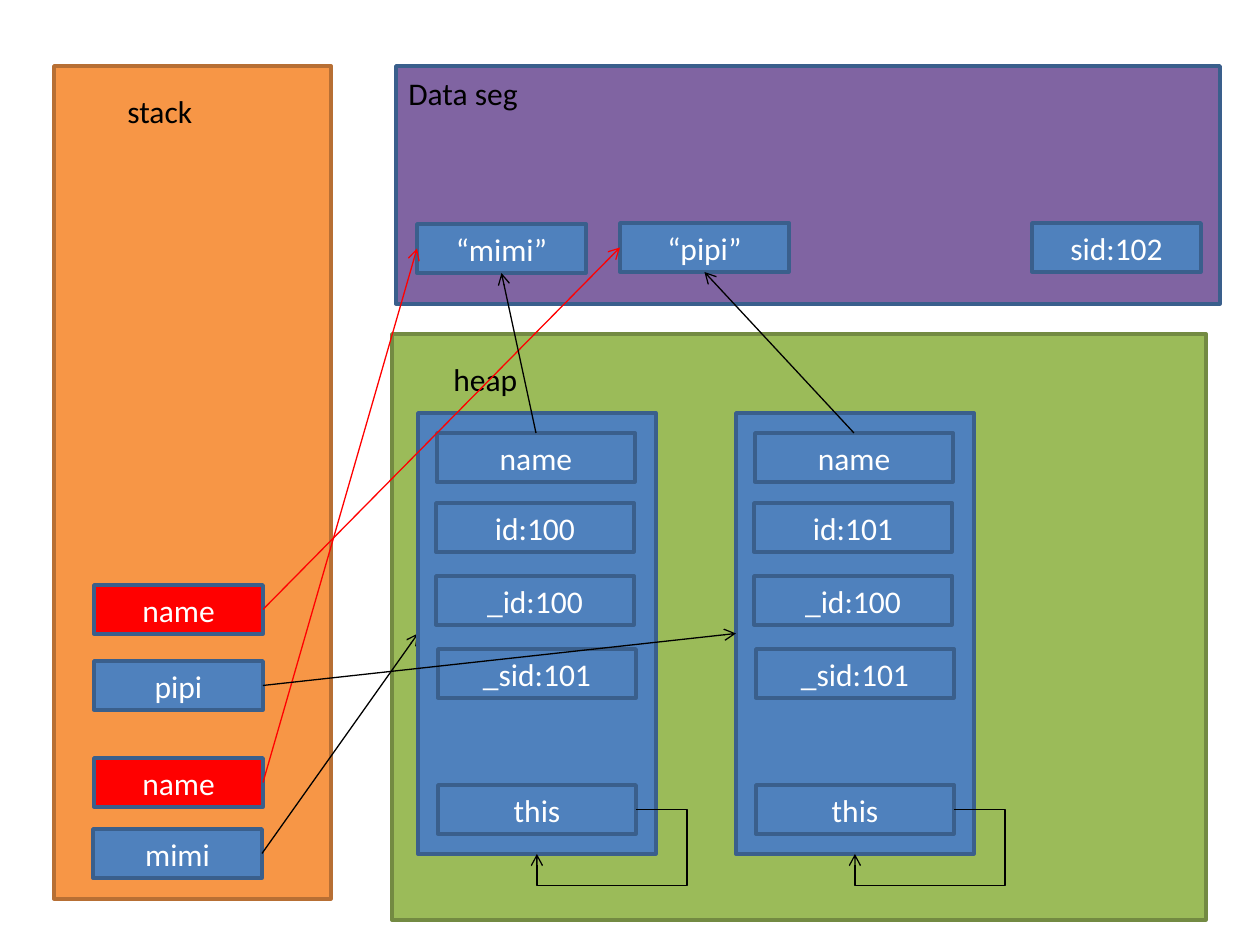
import pptx
import pptx.util
import pptx.dml.color
import pptx.enum.shapes
import pptx.enum.text
import pptx.oxml
import pptx.oxml.ns

RGBColor = pptx.dml.color.RGBColor
ORANGE, ORANGE_EDGE = RGBColor(0xF7, 0x96, 0x46), RGBColor(0xB7, 0x6F, 0x34)
GREEN, GREEN_EDGE = RGBColor(0x9B, 0xBB, 0x59), RGBColor(0x73, 0x8A, 0x42)
BLUE, BLUE_EDGE = RGBColor(0x4F, 0x81, 0xBD), RGBColor(0x3A, 0x5F, 0x8C)
PURPLE = RGBColor(0x80, 0x64, 0xA2)
RED = RGBColor(0xFF, 0, 0)
BLACK = RGBColor(0, 0, 0)
WHITE = RGBColor(0xFF, 0xFF, 0xFF)

EMU_PER_PIXEL = 914400 / 126
VARIABLE_SIZE = (169, 49)
FIELD_SIZE = (198, 49)
OBJECT_SIZE = (238, 441)
LABEL_SIZE = (149, 50)
OBJECT_TOP = 413
OBJECT_LEFTS = (418, 736)

# Stack variables and data segment values: left, top
LOW_MIMI, LOW_NAME = (93, 829), (94, 758)
HIGH_PIPI, HIGH_NAME = (94, 661), (94, 585)
MIMI_VALUE, PIPI_VALUE, SID_VALUE = (417, 224), (620, 223), (1032, 223)


def emu(pixels):
    return pptx.util.Emu(round(pixels * EMU_PER_PIXEL))


def side(position, size, across, down):
    """Point at the given fractions of a box's width and height."""
    return position[0] + size[0] * across, position[1] + size[1] * down


def write(shape, text, color=BLACK, align=pptx.enum.text.PP_ALIGN.LEFT,
          anchor=pptx.enum.text.MSO_ANCHOR.TOP):
    frame = shape.text_frame
    frame.word_wrap = True
    frame.vertical_anchor = anchor
    paragraph = frame.paragraphs[0]
    paragraph.alignment = align
    run = paragraph.add_run()
    run.text = text
    run.font.name = "Calibri"
    run.font.size = pptx.util.Pt(18)
    run.font.color.rgb = color


def add_label(shapes, position, text):
    box = shapes.add_textbox(*map(emu, position + LABEL_SIZE))
    write(box, text)
    box.text_frame.auto_size = pptx.enum.text.MSO_AUTO_SIZE.SHAPE_TO_FIT_TEXT


def add_box(shapes, position, size, text="", fill=BLUE, edge=BLUE_EDGE):
    box = shapes.add_shape(pptx.enum.shapes.MSO_SHAPE.RECTANGLE,
                           *map(emu, position + size))
    box.shadow.inherit = False
    box.fill.solid()
    box.fill.fore_color.rgb = fill
    box.line.color.rgb = edge
    box.line.width = pptx.util.Pt(2)
    if text:
        write(box, text, color=WHITE, align=pptx.enum.text.PP_ALIGN.CENTER,
              anchor=pptx.enum.text.MSO_ANCHOR.MIDDLE)


def add_arrow(shapes, start, end, color=BLACK,
              kind=pptx.enum.shapes.MSO_CONNECTOR.STRAIGHT):
    arrow = shapes.add_connector(kind, *map(emu, start + end))
    arrow.line.color.rgb = color
    arrow.line.width = pptx.util.Pt(0.75)
    line = arrow.line._get_or_add_ln()
    head = pptx.oxml.parse_xml(
        '<a:tailEnd %s type="arrow"/>' % pptx.oxml.ns.nsdecls("a"))
    line.append(head)
    effects = pptx.oxml.parse_xml(
        "<a:effectLst %s/>" % pptx.oxml.ns.nsdecls("a"))
    line.addnext(effects)
    return arrow


def add_loop_arrow(shapes, start, end):
    """Elbow arrow that leaves to the right and returns from below."""
    arrow = add_arrow(shapes, start, end,
                      kind=pptx.enum.shapes.MSO_CONNECTOR.ELBOW)
    geometry = arrow._element.spPr.find(pptx.oxml.ns.qn("a:prstGeom"))
    geometry.getparent().replace(geometry, pptx.oxml.parse_xml(
        '<a:prstGeom %s prst="bentConnector4"><a:avLst>'
        '<a:gd name="adj1" fmla="val -51700"/>'
        '<a:gd name="adj2" fmla="val 170500"/>'
        "</a:avLst></a:prstGeom>" % pptx.oxml.ns.nsdecls("a")))


def add_object(slide_shapes, left, id_text):
    """Heap object: its frame, its fields and the arrow of 'this' to itself."""
    shapes = slide_shapes.add_group_shape().shapes
    position = (left, OBJECT_TOP)
    add_box(shapes, position, OBJECT_SIZE)
    fields = ((19, 433, "name"), (18, 503, id_text), (18, 576, "_id:100"),
              (20, 649, "_sid:101"), (20, 785, "this"))
    for inset, top, text in fields:
        add_box(shapes, (left + inset, top), FIELD_SIZE, text)
    add_loop_arrow(shapes, side((left + 20, 785), FIELD_SIZE, 1, 0.5),
                   side(position, OBJECT_SIZE, 0.5, 1))


def main():
    presentation = pptx.Presentation()
    presentation.slide_width = pptx.util.Inches(10)
    presentation.slide_height = pptx.util.Inches(7.5)
    shapes = presentation.slides.add_slide(presentation.slide_layouts[6]).shapes

    # Memory areas
    add_box(shapes, (392, 334), (814, 586), fill=GREEN, edge=GREEN_EDGE)
    add_box(shapes, (54, 66), (277, 833), fill=ORANGE, edge=ORANGE_EDGE)
    add_box(shapes, (396, 66), (824, 238), fill=PURPLE)
    add_label(shapes, (115, 86), "stack")
    add_label(shapes, (441, 354), "heap")
    add_label(shapes, (396, 68), "Data seg")

    # Stack variables and data segment values
    for position, text, fill in (
            (LOW_MIMI, "mimi", BLUE), (LOW_NAME, "name", RED),
            (HIGH_PIPI, "pipi", BLUE), (HIGH_NAME, "name", RED),
            (MIMI_VALUE, "“mimi”", BLUE), (PIPI_VALUE, "“pipi”", BLUE),
            (SID_VALUE, "sid:102", BLUE)):
        add_box(shapes, position, VARIABLE_SIZE, text, fill=fill)

    # Heap objects, in front of the arrows of the mimi variables
    first, second = ((left, OBJECT_TOP) for left in OBJECT_LEFTS)
    add_arrow(shapes, side(LOW_MIMI, VARIABLE_SIZE, 1, 0.5),
              side(first, OBJECT_SIZE, 0, 0.5))
    add_arrow(shapes, side(LOW_NAME, VARIABLE_SIZE, 1, 0.5),
              side(MIMI_VALUE, VARIABLE_SIZE, 0, 0.5), color=RED)
    for left, id_text in zip(OBJECT_LEFTS, ("id:100", "id:101")):
        add_object(shapes, left, id_text)

    # Arrows in front of the objects
    add_arrow(shapes, side(HIGH_PIPI, VARIABLE_SIZE, 1, 0.5),
              side(second, OBJECT_SIZE, 0, 0.5))
    add_arrow(shapes, side(HIGH_NAME, VARIABLE_SIZE, 1, 0.5),
              side(PIPI_VALUE, VARIABLE_SIZE, 0, 0.5), color=RED)
    for left, value in zip(OBJECT_LEFTS, (MIMI_VALUE, PIPI_VALUE)):
        add_arrow(shapes, side((left + 19, 433), FIELD_SIZE, 0.5, 0),
                  side(value, VARIABLE_SIZE, 0.5, 1))

    presentation.save("out.pptx")


main()
